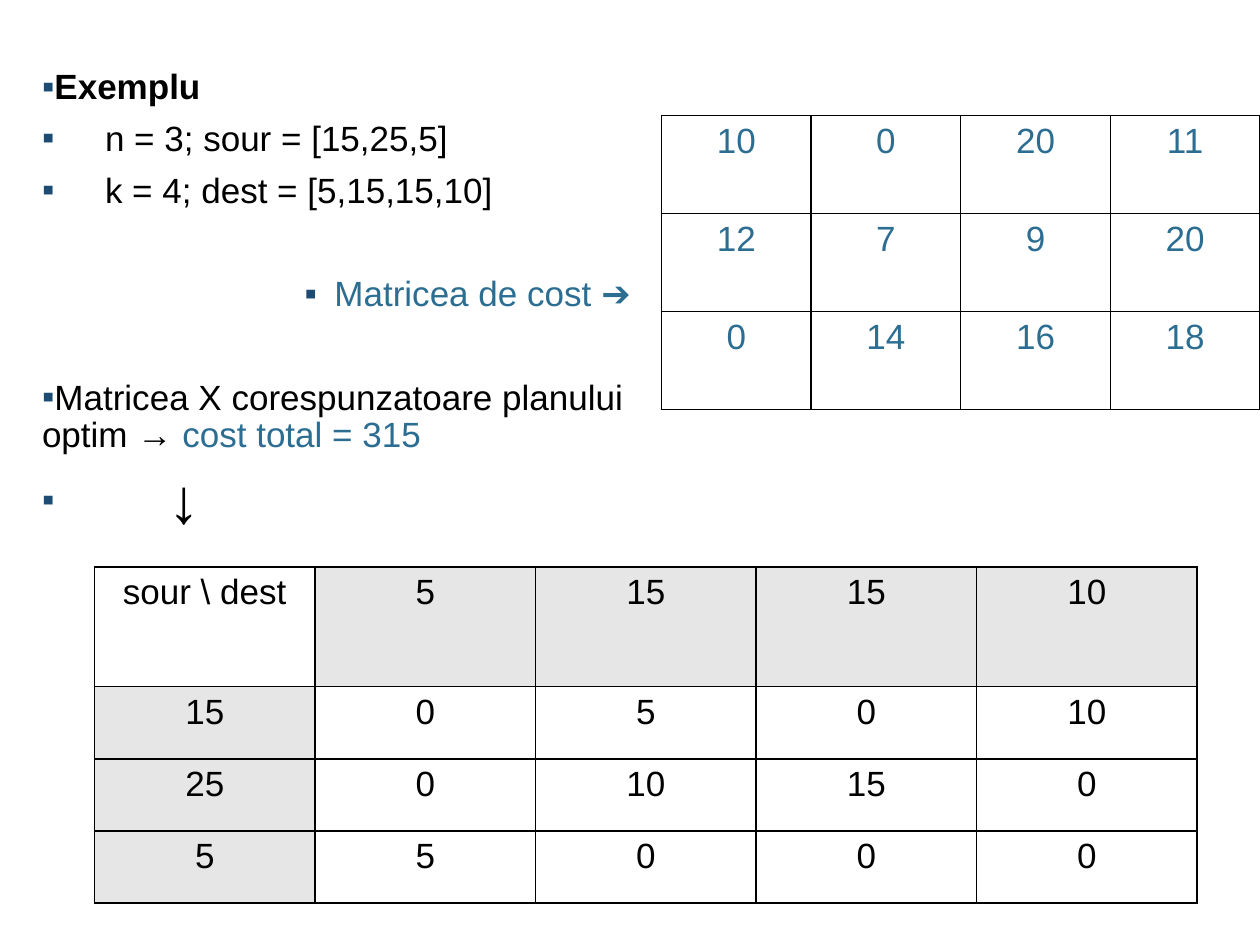
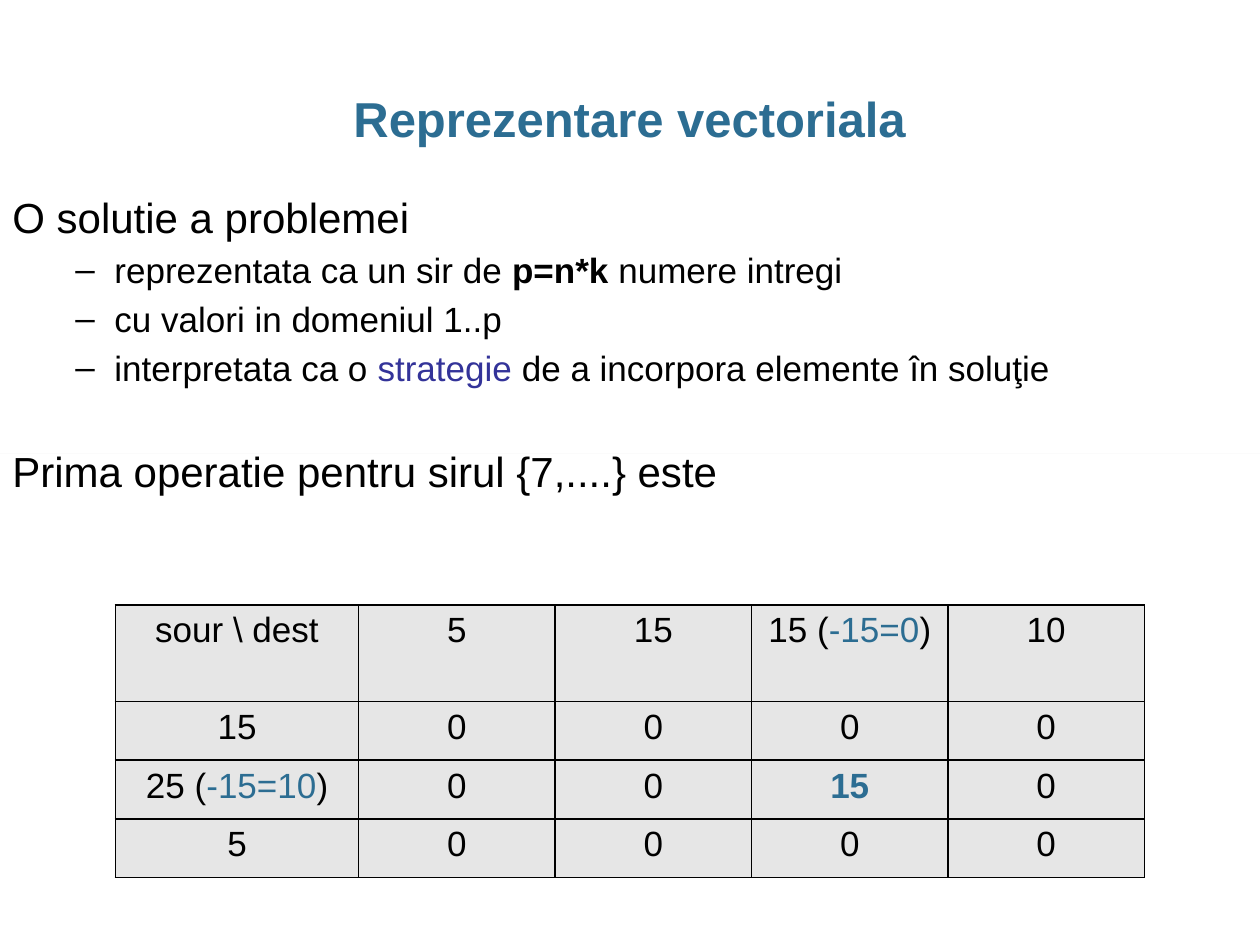
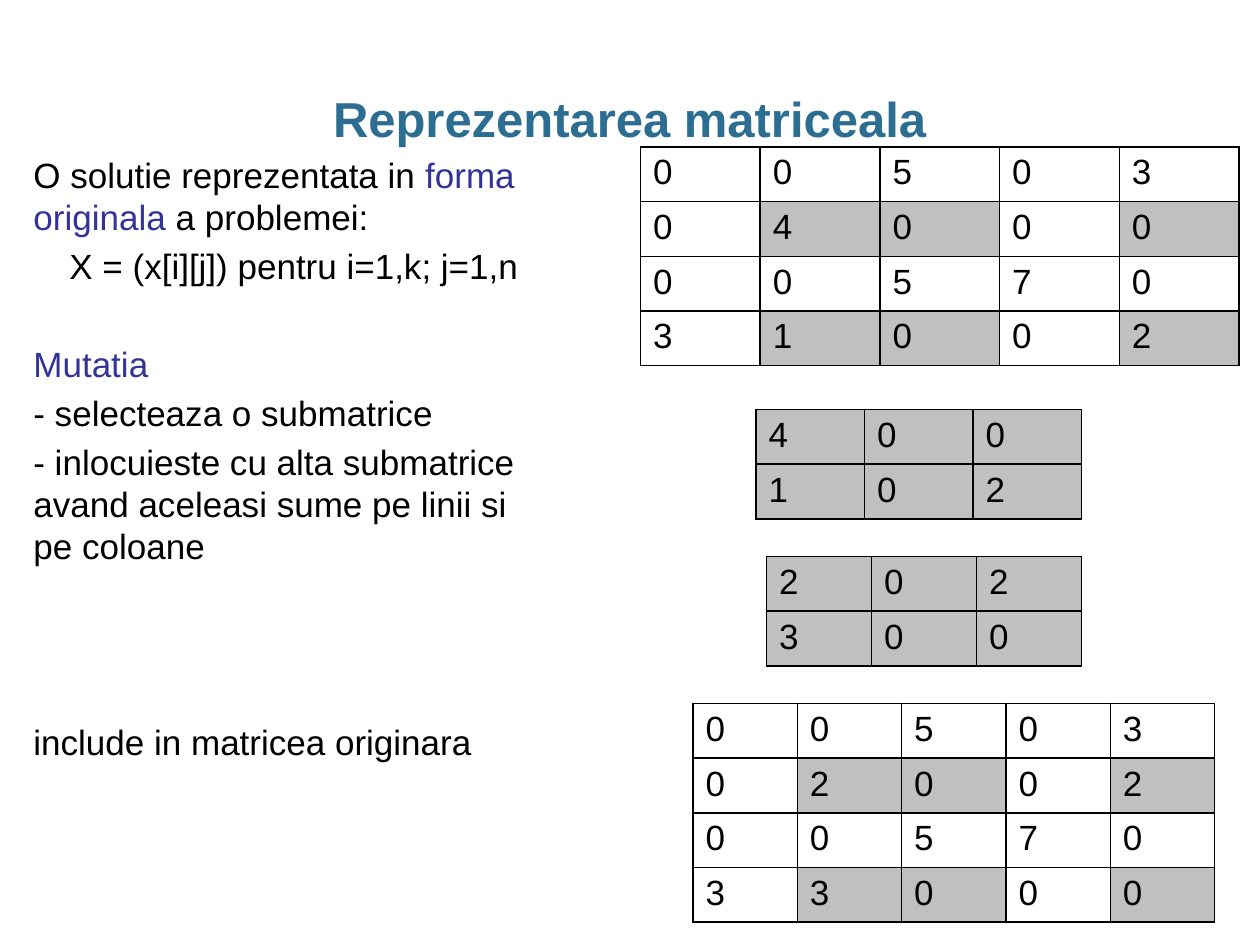
"""Three slides on vector and matrix forms of a transport problem."""
import pptx
import pptx.chart.data
import pptx.dml.color
import pptx.enum.shapes
import pptx.enum.text
import pptx.oxml
import pptx.oxml.ns
import pptx.util

Pt = pptx.util.Pt
RGBColor = pptx.dml.color.RGBColor
Align = pptx.enum.text.PP_ALIGN
qn = pptx.oxml.ns.qn

BLACK = RGBColor(0x00, 0x00, 0x00)
TEAL = RGBColor(0x2C, 0x6D, 0x92)
NAVY = RGBColor(0x1C, 0x4C, 0x74)
INDIGO = RGBColor(0x33, 0x33, 0x99)
PALE = RGBColor(0xE6, 0xE6, 0xE6)
GREY = RGBColor(0xC0, 0xC0, 0xC0)

deck = pptx.Presentation()
deck.slide_width = pptx.util.Inches(10)
deck.slide_height = pptx.util.Inches(7.5)
unit = deck.slide_width / 120
NS = 'xmlns:a="http://schemas.openxmlformats.org/drawingml/2006/main"'


def write(frame, paras):
    """Fill a frame with (runs, paragraph format, mark) entries."""
    frame.word_wrap = True
    for i, (runs, form, mark) in enumerate(paras):
        para = frame.paragraphs[0] if i == 0 else frame.add_paragraph()
        for key, val in form.items():
            setattr(para, key, val)
        props = para._p.get_or_add_pPr()
        for key, val in mark.get("indent", {}).items():
            props.set(key, str(int(val * 914400)))
        if "char" in mark:
            if "color" in mark:
                props.append(pptx.oxml.parse_xml(
                    f'<a:buClr {NS}><a:srgbClr val="{mark["color"]}"/></a:buClr>'))
            props.append(pptx.oxml.parse_xml(
                f'<a:buFont {NS} typeface="Arial"/>'))
            props.append(pptx.oxml.parse_xml(
                f'<a:buChar {NS} char="{mark["char"]}"/>'))
        for text, *look in [(runs,) if isinstance(runs, str) else r
                            for r in ([runs] if isinstance(runs, str) else runs)]:
            run = para.add_run()
            run.text = text
            style = {"name": "Arial", "size": Pt(20), "bold": False,
                     "color": BLACK, **(look[0] if look else {})}
            run.font.color.rgb = style.pop("color")
            for key, val in style.items():
                setattr(run.font, key, val)


def grid(slide, box, rows, fills, align, base=None, cols=None, high=None):
    """Draw a bordered table; fills maps (row, column) to a colour."""
    spot = [round(v * unit) for v in box]
    table = slide.shapes.add_table(len(rows), len(rows[0]), *spot).table
    table.first_row = table.horz_banding = False
    for lines, sizes, name in ((table.columns, cols, "width"),
                               (table.rows, high, "height")):
        total = box[2] if name == "width" else box[3]
        for i, line in enumerate(lines):
            part = sizes[i] if sizes else total / len(lines)
            setattr(line, name, round(part * unit))
    for r, row in enumerate(rows):
        for c, text in enumerate(row):
            cell = table.cell(r, c)
            runs = [(text, base or {})] if isinstance(text, str) else text
            write(cell.text_frame, [(runs, {"alignment": align}, {})])
            if (r, c) in fills:
                cell.fill.solid()
                cell.fill.fore_color.rgb = fills[r, c]
            else:
                cell.fill.background()
            props = cell._tc.get_or_add_tcPr()
            for i, side in enumerate("LRTB"):
                props.insert(i, pptx.oxml.parse_xml(
                    f'<a:ln{side} {NS} w="12700"><a:solidFill>'
                    f'<a:srgbClr val="{BLACK}"/></a:solidFill></a:ln{side}>'))


slides = []
for title in (None, "Reprezentare vectoriala", "Reprezentarea matriceala"):
    slide = deck.slides.add_slide(deck.slide_layouts[5 if title else 6])
    slides.append(slide)
    if title:
        head = slide.shapes.title
        for key, val in {"left": 4.1, "top": 8.2, "width": 111.7, "height": 6}.items():
            setattr(head, key, round(val * unit))
        for key, val in {"margin_left": 0, "margin_right": 0,
                         "margin_top": Pt(3.6), "margin_bottom": Pt(3.6),
                         "auto_size": pptx.enum.text.MSO_AUTO_SIZE.NONE,
                         "vertical_anchor": pptx.enum.text.MSO_ANCHOR.TOP}.items():
            setattr(head.text_frame, key, val)
        write(head.text_frame, [
            ([(title, {"size": Pt(28), "bold": True, "color": TEAL})],
             {"alignment": Align.CENTER, "line_spacing": 0.95}, {})])

blue = {"color": TEAL}
violet = {"color": INDIGO}
strong = {"bold": True}
large = {"size": Pt(24)}

frames = []
for slide, box in zip(slides, ((4, 6, 57, 44), (0, 17.6, 118, 34), (2, 14, 52, 76))):
    shape = slide.shapes.add_textbox(*[round(v * unit) for v in box])
    frames.append(shape.text_frame)

frames[0].margin_left = frames[0].margin_right = 0
square = {"char": "▪", "color": NAVY}
write(frames[0], [
    (runs, {"line_spacing": 0.9, "space_before": Pt(gap), "alignment": side}, square)
    for runs, gap, side in (
        ([("Exemplu", strong)], 0, Align.LEFT),
        ("\tn = 3; sour = [15,25,5]", 8, Align.LEFT),
        ("\tk = 4; dest = [5,15,15,10]", 8, Align.LEFT),
        ([("Matricea de cost ➔ ", blue)], 37.6, Align.RIGHT),
        ([("Matricea X corespunzatoare planului optim → ",),
          ("cost total = 315", blue)], 37.6, Align.LEFT),
        ([("\t\t",), ("↓", {"size": Pt(36), "bold": True})], 8, Align.LEFT))])

grid(slides[0], (63, 11, 57, 28),
     [row.split() for row in ("10 0 20 11", "12 7 9 20", "0 14 16 18")],
     {}, Align.CENTER, blue)
edge = {(r, c): PALE for r in range(4) for c in range(5) if (r == 0) != (c == 0)}
grid(slides[0], (9, 54, 105, 32),
     [["sour \\ dest", "5", "15", "15", "10"]]
     + [row.split() for row in ("15 0 5 0 10", "25 0 10 15 0", "5 5 0 0 0")],
     edge, Align.CENTER, high=[11.4] + [6.87] * 3)

hang = {"indent": {"marL": 0.38, "indent": -0.38}}
dash = {"indent": {"marL": 0.81, "indent": -0.31}, "char": "–"}
write(frames[1], [
    (runs, {"space_before": Pt(gap)}, mark) for runs, gap, mark in (
        ([("O solutie a problemei ", large)], 0, hang),
        ([("reprezentata ca un sir de ",), ("p=n*k", strong),
          (" numere intregi",)], 4, dash),
        ("cu valori in domeniul 1..p", 4, dash),
        ([("interpretata ca o ",), ("strategie", violet),
          (" de a incorpora elemente în soluţie",)], 4, dash),
        ([("Prima operatie pentru sirul {7,....} este", large)], 32.8, hang))])

rule = slides[1].shapes.add_shape(pptx.enum.shapes.MSO_SHAPE.RECTANGLE, 0,
                                  round(43.2 * unit), deck.slide_width, 0)
rule.shadow.inherit = False
rule.fill.solid()
rule.fill.fore_color.rgb = PALE
rule.line.fill.background()

grid(slides[1], (11, 57.6, 98, 26),
     [["sour \\ dest", "5", "15", [("15 (",), ("-15=0", blue), (")",)], "10"],
      ["15"] + ["0"] * 4,
      [[("25 (",), ("-15=10", blue), (")",)], "0", "0",
       [("15", {**blue, **strong})], "0"],
      ["5"] + ["0"] * 4],
     {(r, c): PALE for r in range(4) for c in range(5)}, Align.CENTER,
     cols=[23.16] + [18.71] * 4, high=[9.2] + [5.6] * 3)

write(frames[2], [
    (runs, {"space_before": Pt(gap), "alignment": side}, {})
    for runs, gap, side in (
        ([("O solutie reprezentata in ",), ("forma originala", violet),
          (" a problemei:",)], 0, Align.LEFT),
        ("X = (x[i][j]) pentru i=1,k; j=1,n", 4, Align.CENTER),
        ([("Mutatia", violet)], 32, Align.LEFT),
        ("- selecteaza o submatrice", 4, Align.LEFT),
        ("- inlocuieste cu alta submatrice avand aceleasi sume pe linii si "
         "pe coloane", 4, Align.LEFT),
        ("include in matricea originara", 88, Align.LEFT))])

picked = {(r, c): GREY for r in (1, 3) for c in (1, 2, 4)}
whole = {(r, c): GREY for r in range(2) for c in range(3)}
for box, rows, fills in (
        ((61, 14, 57, 20.8), "00503 04000 00570 31002", picked),
        ((72, 39, 31, 10.4), "400 102", whole),
        ((73, 53, 30, 10.4), "202 300", whole),
        ((66, 67, 49.7, 20.8), "00503 02002 00570 33000", picked)):
    grid(slides[2], box, [list(row) for row in rows.split()], fills, Align.JUSTIFY)

deck.save("out.pptx")
